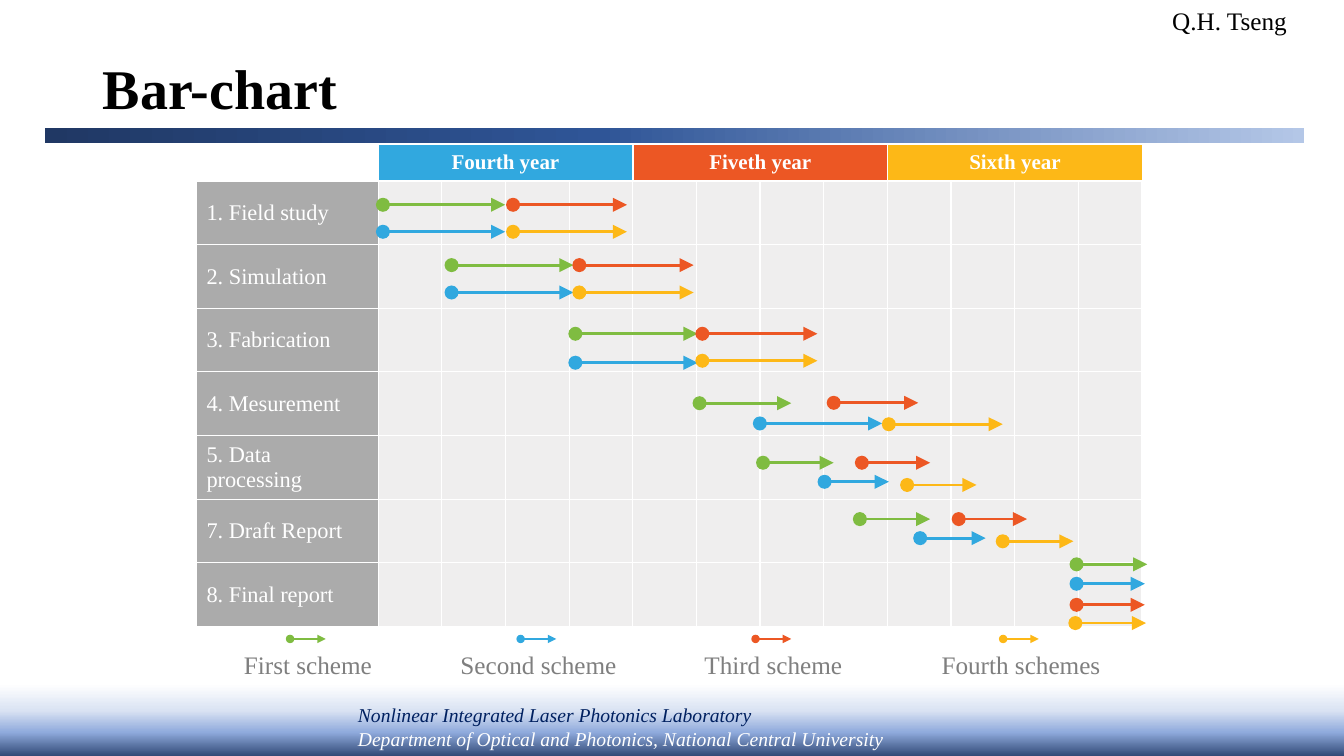
from dataclasses import dataclass

from lxml.etree import SubElement
from pptx import Presentation
from pptx.dml.color import RGBColor
from pptx.enum.shapes import MSO_CONNECTOR, MSO_SHAPE
from pptx.enum.text import MSO_ANCHOR, PP_ALIGN
from pptx.oxml import parse_xml
from pptx.oxml.ns import nsdecls, qn
from pptx.slide import Slide
from pptx.table import Table, _Cell
from pptx.text.text import TextFrame, _Paragraph
from pptx.util import Cm, Pt

FONT = "Times New Roman"
WHITE, BLACK, NAVY, GRAY, CELL_GRAY = "FFFFFF", "000000", "002060", "7F7F7F", "E7E6E6"
GREEN, BLUE, RED, YELLOW = SCHEME_COLORS = ("7FBC41", "31A8DF", "EC5724", "FDB817")
TABLE_LEFT, TABLE_TOP = 4.95, 4.57
LABEL_WIDTH, YEAR_WIDTH, ROW_HEIGHT = 4.58, 6.42, 1.6
MONTH_COLUMNS = 12
LEGEND_WIDTH, LEGEND_ARROW = 5.4, 0.9


@dataclass(frozen=True)
class Span:
    start: float
    end: float
    height: float


@dataclass(frozen=True)
class Task:
    name: str
    spans: tuple[Span, Span, Span, Span]


@dataclass(frozen=True)
class Year:
    name: str
    color: str


@dataclass(frozen=True)
class Scheme:
    name: str
    center: float
    color: str


@dataclass(frozen=True)
class Band:
    left: float
    top: float
    width: float
    height: float
    angle: int
    stops: tuple[tuple[int, str], ...]


@dataclass(frozen=True)
class Line:
    text: str
    size: float
    color: str
    bold: bool = False
    italic: bool = False


BANDS = (
    Band(0, 17.15, 33.87, 2.21, 90,
         ((4, WHITE), (34, "DAE3F3"), (59, "8FAADC"), (91, "203864"))),
    Band(1.14, 3.23, 31.72, 0.38, 180,
         ((0, "B4C7E7"), (56, "2F5597"), (100, "203864"))),
)
YEARS = (Year("Fourth year", BLUE), Year("Fiveth year", RED), Year("Sixth year", YELLOW))
SCHEMES = (
    Scheme("First scheme", 7.76, GREEN),
    Scheme("Second scheme", 13.57, BLUE),
    Scheme("Third scheme", 19.49, RED),
    Scheme("Fourth schemes", 25.73, YELLOW),
)
TASKS = (
    Task("1. Field study", (Span(9.65, 12.73, 5.16), Span(9.65, 12.73, 5.84),
                            Span(12.93, 15.8, 5.16), Span(12.93, 15.8, 5.84))),
    Task("2. Simulation", (Span(11.38, 14.45, 6.68), Span(11.38, 14.45, 7.37),
                           Span(14.6, 17.48, 6.68), Span(14.6, 17.48, 7.37))),
    Task("3. Fabrication", (Span(14.5, 17.58, 8.41), Span(14.5, 17.58, 9.14),
                            Span(17.7, 20.6, 8.41), Span(17.7, 20.6, 9.09))),
    Task("4. Mesurement", (Span(17.63, 19.94, 10.16), Span(19.15, 22.23, 10.67),
                           Span(21.01, 23.14, 10.15), Span(22.4, 25.27, 10.69))),
    Task("5. Data processing", (Span(19.23, 21.01, 11.66), Span(20.78, 22.4, 12.14),
                                Span(21.72, 23.44, 11.66), Span(22.86, 24.61, 12.22))),
    Task("7. Draft Report", (Span(21.67, 23.44, 13.08), Span(23.19, 24.84, 13.56),
                             Span(24.16, 25.88, 13.08), Span(25.27, 27.05, 13.64))),
    Task("8. Final report", (Span(27.13, 28.91, 14.22), Span(27.13, 28.85, 14.71),
                             Span(27.13, 28.85, 15.24), Span(27.1, 28.88, 15.7))),
)


def rgb(color: str) -> RGBColor:
    return RGBColor.from_string(color)


def add_run(paragraph: _Paragraph, line: Line) -> None:
    run = paragraph.add_run()
    run.text = line.text
    font = run.font
    font.name, font.size = FONT, Pt(line.size)
    font.bold, font.italic = line.bold, line.italic
    font.color.rgb = rgb(line.color)


def add_text(slide: Slide, left: float, top: float, width: float, height: float,
             lines: tuple[Line, ...], align: PP_ALIGN = PP_ALIGN.LEFT) -> TextFrame:
    frame = slide.shapes.add_textbox(Cm(left), Cm(top), Cm(width), Cm(height)).text_frame
    frame.word_wrap = False
    for index, line in enumerate(lines):
        paragraph = frame.add_paragraph() if index else frame.paragraphs[0]
        paragraph.alignment = align
        add_run(paragraph, line)
    return frame


def add_band(slide: Slide, band: Band) -> None:
    shape = slide.shapes.add_shape(MSO_SHAPE.RECTANGLE, Cm(band.left), Cm(band.top),
                                   Cm(band.width), Cm(band.height))
    shape.shadow.inherit = False
    shape.line.fill.background()
    stops = "".join(f'<a:gs pos="{position * 1000}"><a:srgbClr val="{color}"/></a:gs>'
                    for position, color in band.stops)
    gradient = parse_xml(f'<a:gradFill {nsdecls("a")} rotWithShape="1"><a:gsLst>{stops}</a:gsLst>'
                         f'<a:lin ang="{band.angle * 60000}" scaled="0"/></a:gradFill>')
    shape.element.spPr.find(qn("a:prstGeom")).addnext(gradient)


def add_arrow(slide: Slide, span: Span, color: str, head_size: str) -> None:
    connector = slide.shapes.add_connector(MSO_CONNECTOR.STRAIGHT, Cm(span.start), Cm(span.height),
                                           Cm(span.end), Cm(span.height))
    connector.line.width = Pt(2)
    connector.line.color.rgb = rgb(color)
    outline = connector.line._get_or_add_ln()
    for tag, kind in (("a:headEnd", "oval"), ("a:tailEnd", "triangle")):
        SubElement(outline, qn(tag), type=kind, w=head_size, len=head_size)
    SubElement(connector.element.spPr, qn("a:effectLst"))


def style_cell(cell: _Cell, color: str, opacity: int = 100) -> None:
    cell.vertical_anchor = MSO_ANCHOR.MIDDLE
    cell.fill.solid()
    cell.fill.fore_color.rgb = rgb(color)
    properties = cell._tc.get_or_add_tcPr()
    if opacity < 100:
        SubElement(properties.find(".//" + qn("a:srgbClr")), qn("a:alpha"), val=str(opacity * 1000))
    for index, side in enumerate(("lnL", "lnR", "lnT", "lnB")):
        properties.insert(index, parse_xml(
            f'<a:{side} {nsdecls("a")} w="{Pt(1)}"><a:solidFill><a:srgbClr val="{WHITE}"/>'
            f'</a:solidFill></a:{side}>'))


def add_grid(slide: Slide, left: float, top: float, widths: list[float], rows: int,
             row_height: float) -> Table:
    table = slide.shapes.add_table(rows, len(widths), Cm(left), Cm(top), Cm(sum(widths)),
                                   Cm(rows * row_height)).table
    table.first_row = table.horz_banding = False
    for column, width in zip(table.columns, widths):
        column.width = Cm(width)
    return table


def add_schedule(slide: Slide) -> None:
    month_width = YEAR_WIDTH * len(YEARS) / MONTH_COLUMNS
    table = add_grid(slide, TABLE_LEFT, TABLE_TOP, [LABEL_WIDTH] + [month_width] * MONTH_COLUMNS,
                     len(TASKS), ROW_HEIGHT)
    for row, task in enumerate(TASKS):
        label = table.cell(row, 0)
        style_cell(label, GRAY, 65)
        add_run(label.text_frame.paragraphs[0], Line(task.name, 16, WHITE))
        for column in range(1, MONTH_COLUMNS + 1):
            style_cell(table.cell(row, column), CELL_GRAY, 65)


def add_years(slide: Slide) -> None:
    table = add_grid(slide, TABLE_LEFT + LABEL_WIDTH, 3.65, [YEAR_WIDTH] * len(YEARS), 1, 0.9)
    for column, year in enumerate(YEARS):
        cell = table.cell(0, column)
        style_cell(cell, year.color)
        paragraph = cell.text_frame.paragraphs[0]
        paragraph.alignment = PP_ALIGN.CENTER
        add_run(paragraph, Line(year.name, 15, WHITE, bold=True))


def add_legend_entry(slide: Slide, scheme: Scheme) -> None:
    start = scheme.center - LEGEND_ARROW / 2
    add_arrow(slide, Span(start, start + LEGEND_ARROW, 16.1), scheme.color, "med")
    add_text(slide, scheme.center - LEGEND_WIDTH / 2, 16.23, LEGEND_WIDTH, 1.02,
             (Line(scheme.name, 18, GRAY),), PP_ALIGN.CENTER)


def main() -> None:
    presentation = Presentation()
    presentation.slide_width, presentation.slide_height = Cm(33.87), Cm(19.05)
    slide = presentation.slides.add_slide(presentation.slide_layouts[6])
    for band in BANDS:
        add_band(slide, band)
    add_text(slide, 29.29, 0, 3.43, 1.02, (Line("Q.H. Tseng", 18, BLACK),))
    add_text(slide, 8.77, 17.6, 13.87, 1.45, (
        Line("Nonlinear Integrated Laser Photonics Laboratory", 14, NAVY, italic=True),
        Line("Department of Optical and Photonics, National Central University", 14, WHITE,
             italic=True)))
    title = add_text(slide, 2.34, 1.02, 29.21, 2.57, (Line("Bar-chart", 40, BLACK, bold=True),))
    title.word_wrap = True
    title.vertical_anchor = MSO_ANCHOR.MIDDLE
    title.paragraphs[0].line_spacing = 0.9
    add_schedule(slide)
    add_years(slide)
    for task in TASKS:
        for span, color in zip(task.spans, SCHEME_COLORS):
            add_arrow(slide, span, color, "lg")
    for scheme in SCHEMES:
        add_legend_entry(slide, scheme)
    presentation.save("out.pptx")


if __name__ == "__main__":
    main()
